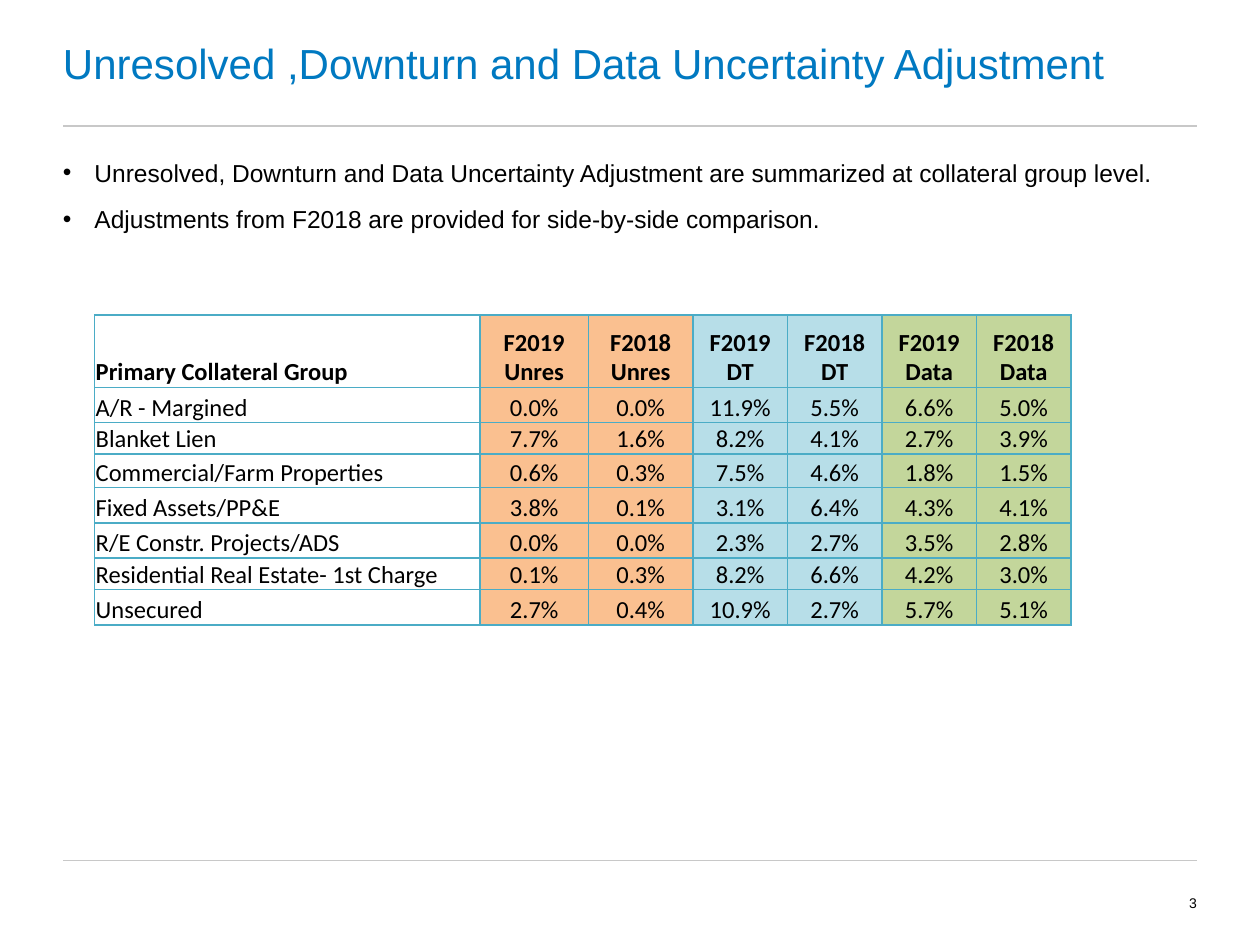
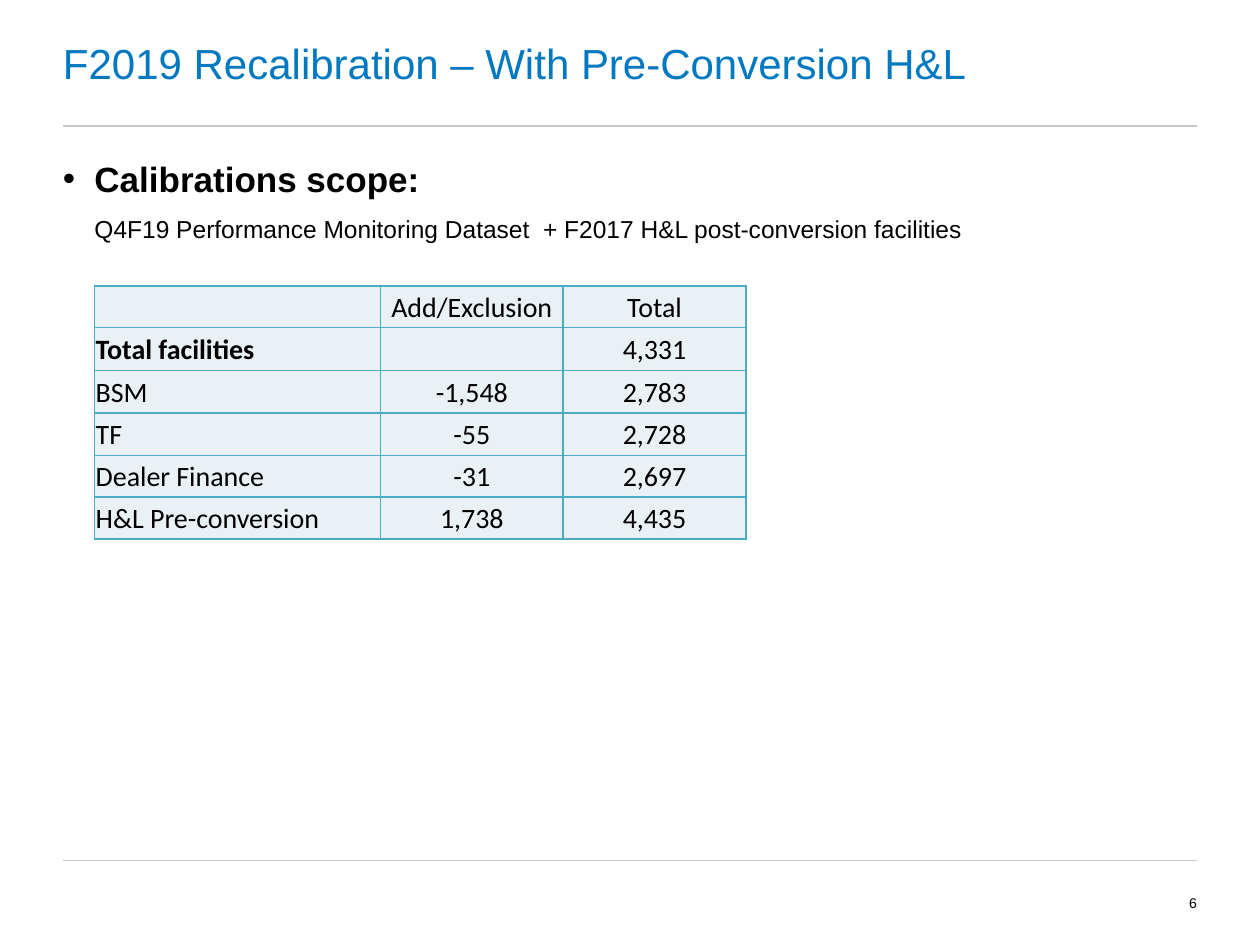
from lxml.etree import SubElement
from pptx import Presentation
from pptx.dml.color import RGBColor
from pptx.enum.shapes import MSO_CONNECTOR as Connector
from pptx.enum.text import MSO_ANCHOR as Anchor, PP_ALIGN as Align
from pptx.oxml.ns import qn
from pptx.util import Inches, Pt

COLORS = {"title": "0079C1", "text": "000000", "rule": "C8C8C8", "border": "4BACC6",
          "unresolved": "FAC090", "downturn": "B7DEE8", "data": "C3D69B", "scope": "E9F1F5"}

deck = Presentation()
deck.slide_width, deck.slide_height = Inches(10), Inches(7.5)
UNIT = deck.slide_width // 40  # square grid: 40 columns by 30 rows
LEFT, WIDTH = 2, 36            # content area in grid columns
RULES = 4, 27.32               # grid rows of the two grey rules


def add_text(page, area, lines, anchor=Anchor.TOP, align=Align.LEFT):
    """Each line is (text, size, colour, bold, space before, indent, bullet)."""
    box = page.shapes.add_textbox(*[int(n * UNIT) for n in area])
    frame = box.text_frame
    frame.word_wrap, frame.vertical_anchor = True, anchor
    frame.margin_left = frame.margin_right = frame.margin_top = frame.margin_bottom = 0
    frame.text = "\n".join(line[0] for line in lines)
    for para, (_, size, color, bold, before, indent, bullet) in zip(frame.paragraphs, lines):
        para.alignment, para.space_before = align, Pt(before)
        font = para.runs[0].font
        font.name, font.size, font.bold = "Arial", Pt(size), bold
        font.color.rgb = RGBColor.from_string(COLORS[color])
        props = para._p.get_or_add_pPr()
        props.set("marL", str(indent * UNIT))
        props.set("indent", str(-UNIT if bullet else 0))
        if bullet:
            SubElement(props, qn("a:buFont")).set("typeface", "Arial")
            SubElement(props, qn("a:buChar")).set("char", "•")


def add_table(page, top, widths, heights, rows, fills, size, anchor, bold_cells):
    area = [int(n * UNIT) for n in (3, top, sum(widths), sum(heights))]
    table = page.shapes.add_table(len(rows), len(widths), *area).table
    table.first_row = table.horz_banding = False
    for column, width in zip(table.columns, widths):
        column.width = int(width * UNIT)
    for r, (row, height) in enumerate(zip(rows, heights)):
        table.rows[r].height = int(height * UNIT)
        for c, text in enumerate(row):
            cell = table.cell(r, c)
            cell.text, cell.vertical_anchor = text, anchor
            cell.margin_left = cell.margin_right = cell.margin_top = Inches(0.01)
            cell.margin_bottom = 0
            para = cell.text_frame.paragraphs[0]
            para.alignment = Align.CENTER if c else Align.LEFT
            for span in para.runs:
                span.font.name, span.font.size = "Calibri", Pt(size)
                span.font.bold = (r, c) in bold_cells
                span.font.color.rgb = RGBColor.from_string(COLORS["text"])
            # Borders come before the fill in the cell properties
            props = cell._tc.get_or_add_tcPr()
            for side in ("lnL", "lnR", "lnT", "lnB"):
                border = SubElement(props, qn(f"a:{side}"), w=str(Pt(1)))
                solid = SubElement(border, qn("a:solidFill"))
                SubElement(solid, qn("a:srgbClr"), val=COLORS["border"])
            if fills[c]:
                cell.fill.solid()
                cell.fill.fore_color.rgb = RGBColor.from_string(COLORS[fills[c]])
            else:
                cell.fill.background()


# Shared frame: rules, title, body text and page number
slides = [
    ("Unresolved ,Downturn and Data Uncertainty Adjustment", "3", [
        ("Unresolved, Downturn and Data Uncertainty Adjustment are summarized "
         "at collateral group level.", 14, "text", False, 10, 1, True),
        ("Adjustments from F2018 are provided for side-by-side comparison.",
         14, "text", False, 10, 1, True)]),
    ("F2019 Recalibration – With Pre-Conversion H&L", "6", [
        ("Calibrations scope:", 20, "text", True, 10, 1, True),
        ("Q4F19 Performance Monitoring Dataset  + F2017 H&L post-conversion facilities",
         14, "text", False, 8, 1, False)]),
]
pages = []
for title, number, body in slides:
    page = deck.slides.add_slide(deck.slide_layouts[6])
    pages.append(page)
    for rule in RULES:
        y = int(rule * UNIT)
        line = page.shapes.add_connector(Connector.STRAIGHT, LEFT * UNIT, y,
                                         (LEFT + WIDTH) * UNIT, y)
        line.line.width = Pt(0.75)
        line.line.color.rgb = RGBColor.from_string(COLORS["rule"])
        SubElement(line._element.spPr, qn("a:effectLst"))
    add_text(page, (LEFT, 0, WIDTH, 4), [(title, 24, "title", False, 0, 0, False)],
             Anchor.MIDDLE)
    add_text(page, (LEFT, 5, WIDTH, 21.8), body)
    add_text(page, (36, RULES[1], 2, 30 - RULES[1]),
             [(number, 8, "text", False, 0, 0, False)], Anchor.MIDDLE, Align.RIGHT)

# Adjustments by collateral group
adjustments = [
    ("Primary Collateral Group", "F2019 Unres", "F2018 Unres", "F2019 DT", "F2018 DT",
     "F2019 Data", "F2018 Data"),
    ("A/R - Margined", "0.0%", "0.0%", "11.9%", "5.5%", "6.6%", "5.0%"),
    ("Blanket Lien", "7.7%", "1.6%", "8.2%", "4.1%", "2.7%", "3.9%"),
    ("Commercial/Farm Properties", "0.6%", "0.3%", "7.5%", "4.6%", "1.8%", "1.5%"),
    ("Fixed Assets/PP&E", "3.8%", "0.1%", "3.1%", "6.4%", "4.3%", "4.1%"),
    ("R/E Constr. Projects/ADS", "0.0%", "0.0%", "2.3%", "2.7%", "3.5%", "2.8%"),
    ("Residential Real Estate- 1st Charge", "0.1%", "0.3%", "8.2%", "6.6%", "4.2%", "3.0%"),
    ("Unsecured", "2.7%", "0.4%", "10.9%", "2.7%", "5.7%", "5.1%"),
]
group_fills = [None] + [name for name in ("unresolved", "downturn", "data") for _ in range(2)]
add_table(pages[0], 10, [12.24, 3.44, 3.32] + [3] * 4,
          [2.3, 1.12, 1, 1.06, 1.12, 1.12, 1, 1.12], adjustments, group_fills, 14,
          Anchor.BOTTOM, {(0, c) for c in range(7)})

# Facilities in the calibration scope
facilities = [
    ("", "Add/Exclusion", "Total"),
    ("Total facilities", "", "4,331"),
    ("BSM", "-1,548", "2,783"),
    ("TF", "-55", "2,728"),
    ("Dealer Finance", "-31", "2,697"),
    ("H&L Pre-conversion", "1,738", "4,435"),
]
add_table(pages[1], 9.08, [9.08, 5.8, 5.8], [1.32, 1.36, 1.36, 1.34, 1.32, 1.34],
          facilities, ["scope"] * 3, 16, Anchor.MIDDLE, {(1, 0)})

deck.save("out.pptx")
